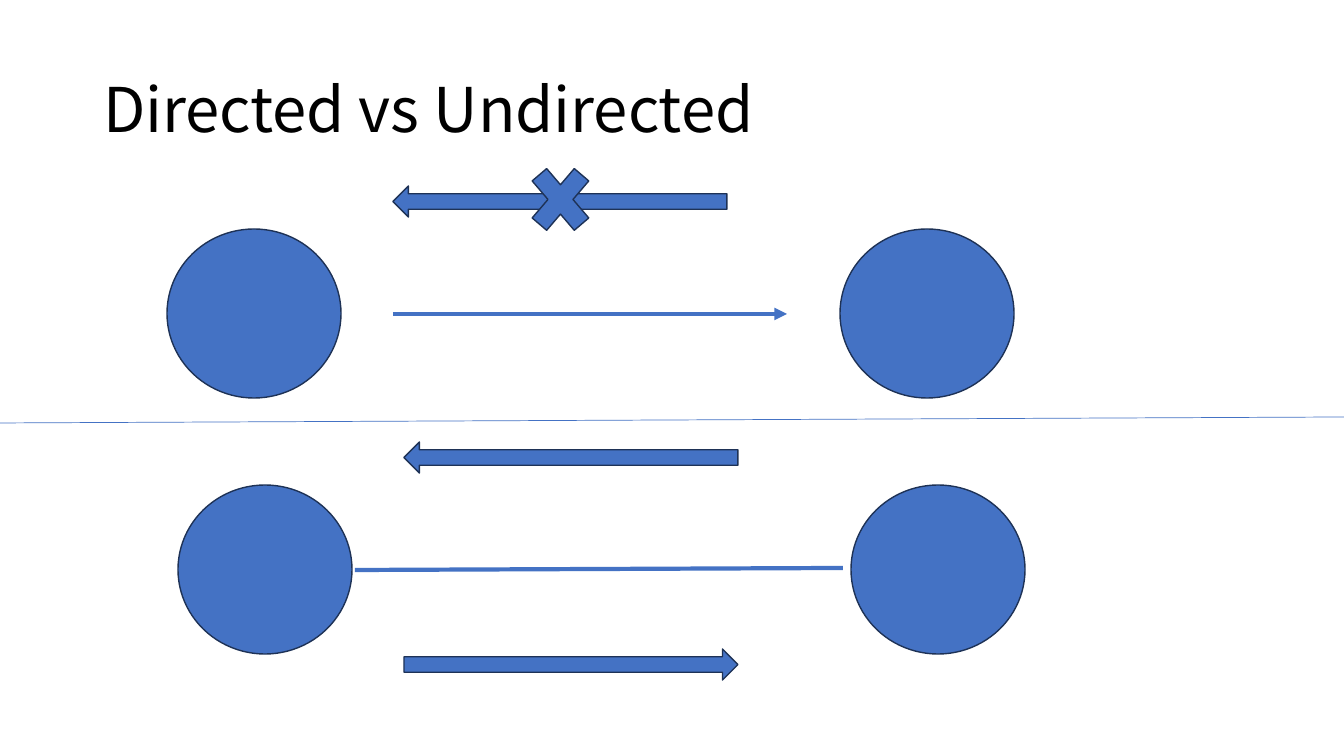
import pptx
import pptx.dml.color
import pptx.enum.shapes
import pptx.enum.text
import pptx.oxml
import pptx.util

BLUE = pptx.dml.color.RGBColor(0x44, 0x72, 0xC4)
NAVY = pptx.dml.color.RGBColor(0x1E, 0x32, 0x56)
BLACK = pptx.dml.color.RGBColor(0, 0, 0)
FONT = "Noto Sans CJK KR"
PX_PER_INCH = 100.8
SLIDE_SIZE = (1344, 756)
SHAPES = pptx.enum.shapes.MSO_SHAPE


def px(*lengths):
    return [pptx.util.Inches(length / PX_PER_INCH) for length in lengths]


class GraphSlide:
    def __init__(self, presentation):
        presentation.slide_width, presentation.slide_height = px(*SLIDE_SIZE)
        self.slide = presentation.slides.add_slide(presentation.slide_layouts[5])

    def title(self, text, *box):
        heading = self.slide.shapes.title
        heading.left, heading.top, heading.width, heading.height = px(*box)
        frame = heading.text_frame
        frame.text = text
        frame.word_wrap = True
        frame.auto_size = pptx.enum.text.MSO_AUTO_SIZE.NONE
        frame.vertical_anchor = pptx.enum.text.MSO_ANCHOR.MIDDLE
        paragraph = frame.paragraphs[0]
        paragraph.alignment = pptx.enum.text.PP_ALIGN.LEFT
        paragraph.line_spacing = 0.9
        paragraph.font.name = FONT
        paragraph.font.size = pptx.util.Pt(44)
        paragraph.font.color.rgb = BLACK

    def shape(self, kind, *box):
        shape = self.slide.shapes.add_shape(kind, *px(*box))
        shape.shadow.inherit = False
        shape.fill.solid()
        shape.fill.fore_color.rgb = BLUE
        shape.line.color.rgb = NAVY
        shape.line.width = pptx.util.Pt(1)
        return shape

    def node(self, left, top):
        return self.shape(SHAPES.FLOWCHART_CONNECTOR, left, top, 174, 169)

    def block_arrow(self, left, top, rotation=0):
        arrow = self.shape(SHAPES.LEFT_ARROW, left, top, 334, 31)
        arrow.rotation = rotation

    def line(self, start, end, width=3, arrowhead=False):
        connector = self.slide.shapes.add_connector(
            pptx.enum.shapes.MSO_CONNECTOR.STRAIGHT, *px(*start, *end))
        connector.line.color.rgb = BLUE
        connector.line.width = pptx.util.Pt(width)
        if arrowhead:
            stroke = connector.line._get_or_add_ln()
            stroke.append(pptx.oxml.parse_xml(
                '<a:tailEnd xmlns:a="http://schemas.openxmlformats.org/'
                'drawingml/2006/main" type="triangle"/>'))
        connector._element.spPr.append(pptx.oxml.parse_xml(
            '<a:effectLst xmlns:a="http://schemas.openxmlformats.org/'
            'drawingml/2006/main"/>'))

    def node_pair(self, left, top):
        for offset in (0, 673):
            self.node(left + offset, top)
        self.block_arrow(left + 226, top - 43)


def main():
    presentation = pptx.Presentation()
    graph = GraphSlide(presentation)
    graph.title("Directed vs Undirected", 93, 40, 1159, 146)

    graph.node_pair(167, 229)
    graph.line((393, 314), (787, 314), arrowhead=True)
    graph.shape(SHAPES.MATH_MULTIPLY, 520, 152, 81, 95)

    graph.node_pair(178, 485)
    graph.line((355, 570), (843, 568))
    graph.block_arrow(404, 649, rotation=180)

    graph.line((0, 423), (1344, 417), width=0.5)
    presentation.save("out.pptx")


if __name__ == "__main__":
    main()
